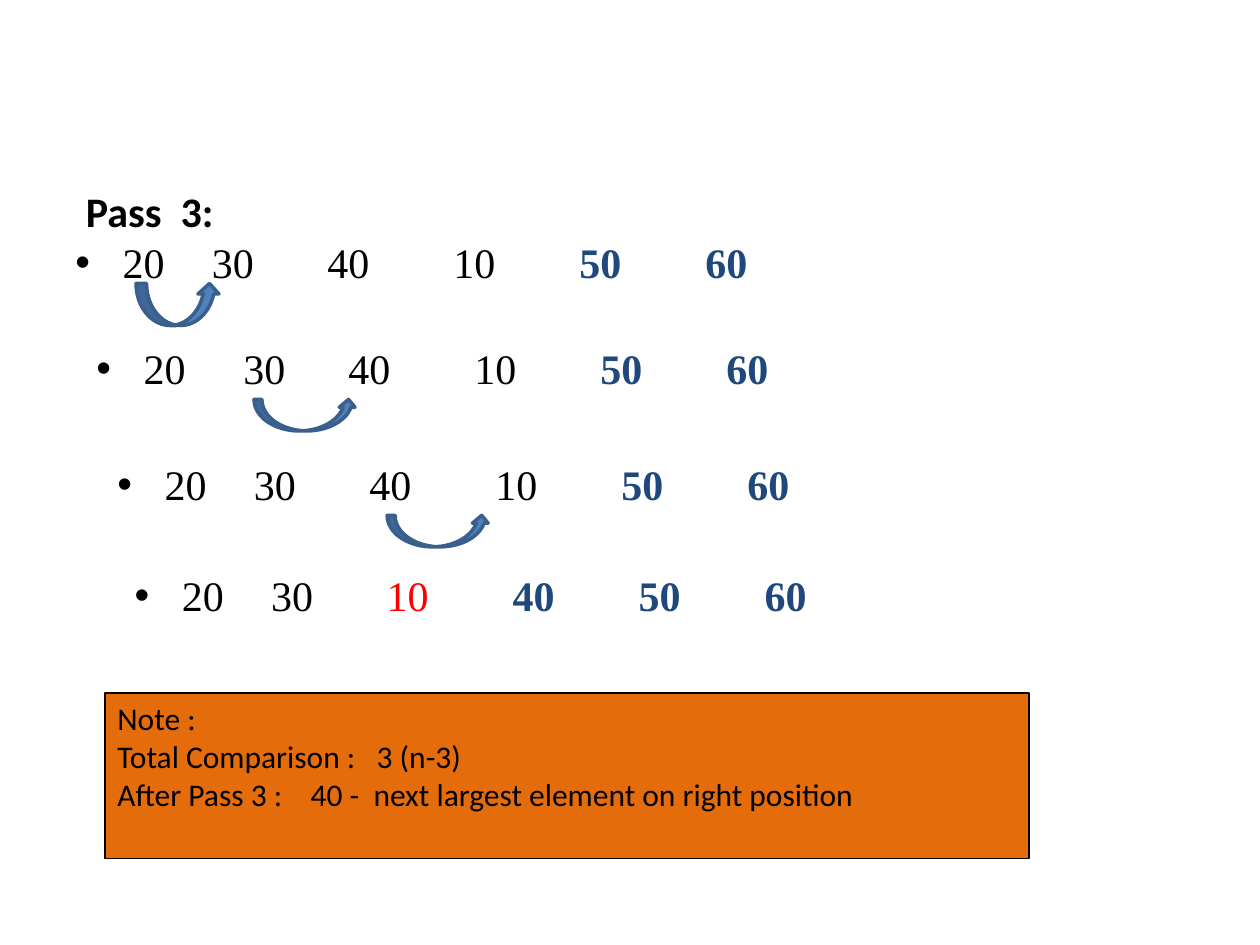
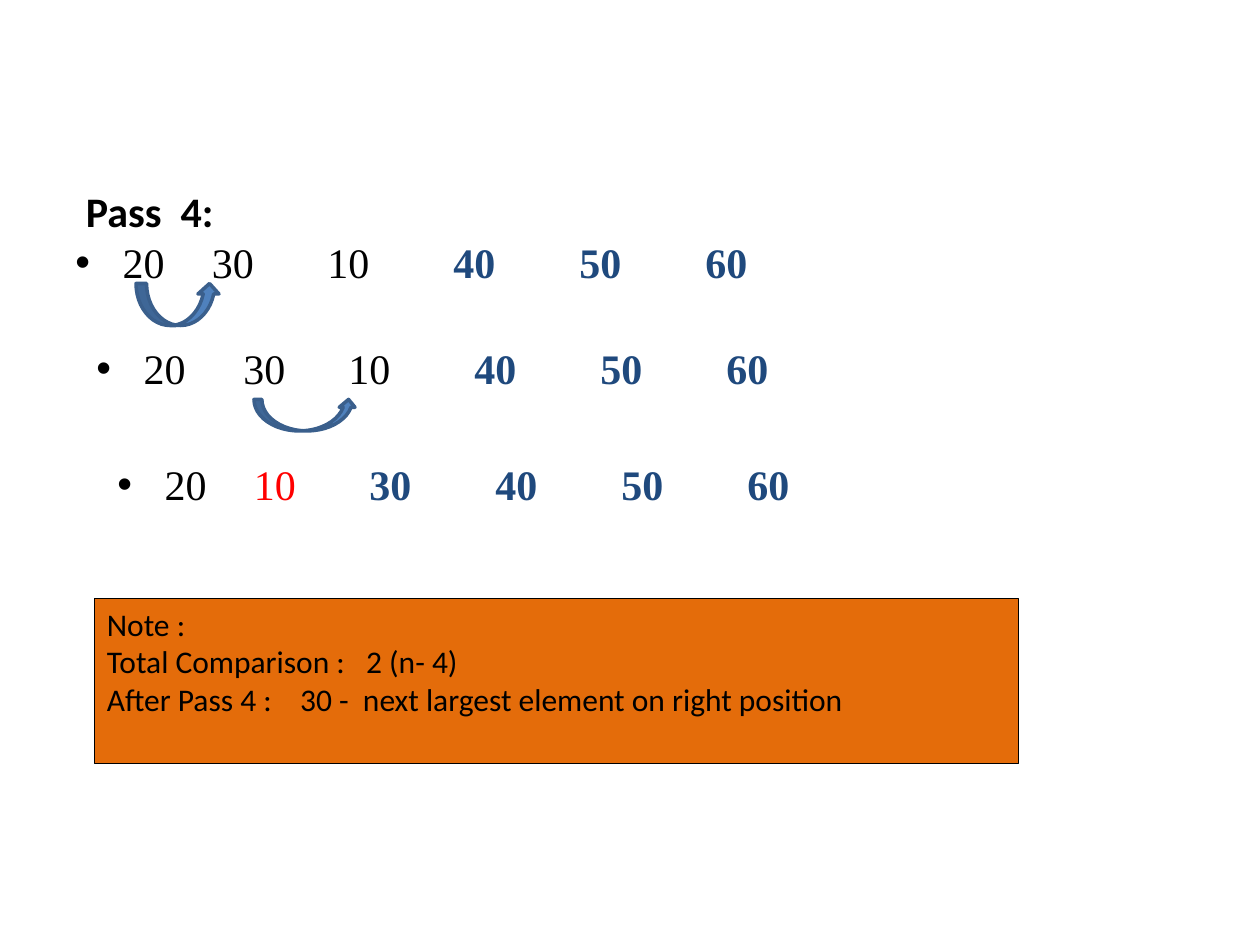
from pptx import Presentation
from pptx.dml.color import RGBColor
from pptx.enum.shapes import MSO_SHAPE
from pptx.enum.text import MSO_ANCHOR, PP_ALIGN
from pptx.oxml.ns import qn
from pptx.util import Pt
from lxml import etree

CURVED_ARROW = MSO_SHAPE.CURVED_UP_ARROW
RECTANGLE = MSO_SHAPE.RECTANGLE
TOP = MSO_ANCHOR.TOP
LEFT = PP_ALIGN.LEFT

BLACK, RED, NAVY = "000000", "FF0000", "1F497D"
BLUE, BLUE_EDGE, ORANGE = "4F81BD", "3A5F8C", "E46C0A"

# Text formats
HEADING = dict(name="Calibri", size=Pt(24), bold=True, color=BLACK)
NOTE = dict(name="Calibri", size=Pt(18), bold=False, color=BLACK)
OPEN = dict(name="Times New Roman", size=Pt(24), bold=False, color=BLACK)
MOVED = {**OPEN, "color": RED}
SORTED = {**OPEN, "bold": True, "color": NAVY}

# Shared layout, in points
HEADING_BOX = (42, 102.24, 120, 36)
ROW_SIZE = (648, 36)
ROW_ORIGINS = [(36, 131.76), (48, 192.24), (60, 258.48), (69.84, 321.84)]
ARROW_OFFSETS = [(41.76, 30.24, 48, 24), (97.2, 36, 58.5, 18),
                 (161.28, 36, 58.5, 18)]
NOTE_SIZE = (528, 94.5)
COLUMN_STEP, HANGING = 72, 27


def rgb(value):
    return RGBColor.from_string(value)


def add_run(p, text, fmt):
    r = p.add_run()
    r.text = text
    for key, value in fmt.items():
        if key == "color":
            r.font.color.rgb = rgb(value)
        else:
            setattr(r.font, key, value)


def add_text_frame(s, box):
    tf = s.shapes.add_textbox(*map(Pt, box)).text_frame
    tf.word_wrap = True
    return tf


def add_filled_shape(s, kind, box, fill, line, width):
    sp = s.shapes.add_shape(kind, *map(Pt, box))
    sp.shadow.inherit = False
    sp.fill.solid()
    sp.fill.fore_color.rgb = rgb(fill)
    sp.line.color.rgb = rgb(line)
    sp.line.width = Pt(width)
    return sp


def set_bullet(p):
    """Hanging bullet with evenly spaced tab columns."""
    pPr = p._p.get_or_add_pPr()
    for key, value in {"marL": HANGING, "indent": -HANGING,
                       "defTabSz": COLUMN_STEP}.items():
        pPr.set(key, str(int(Pt(value))))
    etree.SubElement(pPr, qn("a:buFont")).set("typeface", "Arial")
    etree.SubElement(pPr, qn("a:buChar")).set("char", "•")


def add_number_row(s, box, runs):
    p = add_text_frame(s, box).paragraphs[0]
    set_bullet(p)
    for text, fmt in runs:
        add_run(p, text, fmt)


def add_swap_arrow(s, row_box, offset):
    dx, dy, w, h = offset
    box = (row_box[0] + dx, row_box[1] + dy, w, h)
    add_filled_shape(s, CURVED_ARROW, box, BLUE, BLUE_EDGE, 2)


def add_note(s, box, lines):
    tf = add_filled_shape(s, RECTANGLE, box, ORANGE, BLACK, 0.75).text_frame
    tf.word_wrap = True
    tf.vertical_anchor = TOP
    for i, line in enumerate(lines):
        p = tf.add_paragraph() if i else tf.paragraphs[0]
        p.alignment = LEFT
        add_run(p, line, NOTE)


def add_pass_slide(prs, heading, rows, note_origin, note_lines):
    s = prs.slides.add_slide(prs.slide_layouts[6])
    # Heading
    add_run(add_text_frame(s, HEADING_BOX).paragraphs[0], heading, HEADING)
    # Number rows, with an arrow under each comparison but not the result
    boxes = [origin + ROW_SIZE for origin in ROW_ORIGINS[:len(rows)]]
    for box, runs in zip(boxes, rows):
        add_number_row(s, box, runs)
    for box, offset in zip(boxes[:-1], ARROW_OFFSETS):
        add_swap_arrow(s, box, offset)
    # Summary note
    add_note(s, note_origin + NOTE_SIZE, note_lines)


def main():
    prs = Presentation()
    prs.slide_width, prs.slide_height = Pt(720), Pt(540)

    top_two = ("50\t60", SORTED)
    top_three = ("40\t50\t60", SORTED)
    add_pass_slide(
        prs, "Pass  3:",
        [[("20\t 30\t40\t10\t", OPEN), top_two],
         [("20\t  30\t40\t10\t", OPEN), top_two],
         [("20\t 30\t40\t10\t", OPEN), top_two],
         [("20\t 30\t", OPEN), ("10\t", MOVED), top_three]],
        (60, 396),
        ["Note :", "Total Comparison :   3 (n-3)",
         "After Pass 3 :    40 -  next largest element on right position"])
    add_pass_slide(
        prs, "Pass  4:",
        [[("20\t 30\t10\t", OPEN), top_three],
         [("20\t  30\t10\t", OPEN), top_three],
         [("20\t ", OPEN), ("10\t", MOVED), ("30\t40\t50\t60", SORTED)]],
        (54, 342),
        ["Note :", "Total Comparison :   2 (n- 4)",
         "After Pass 4 :    30 -  next largest element on right position"])

    prs.save("out.pptx")


if __name__ == "__main__":
    main()
